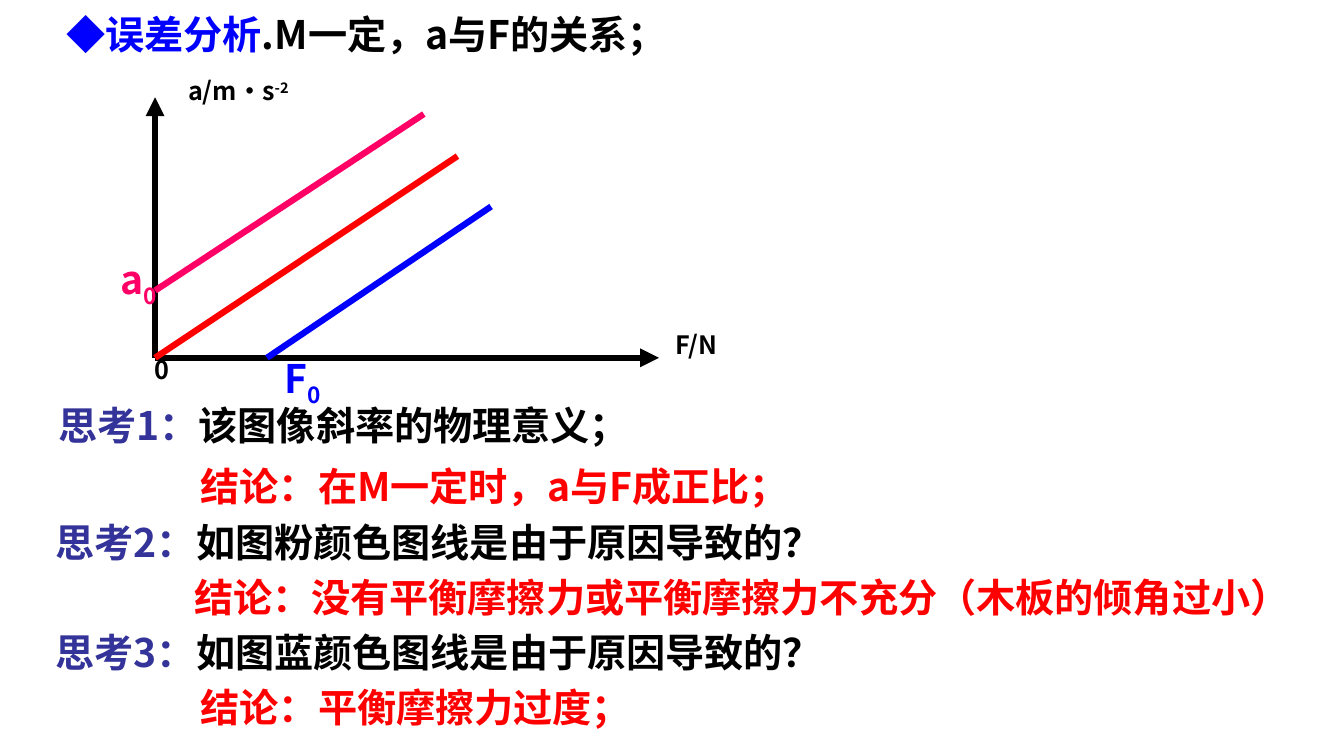
from lxml.etree import SubElement
from pptx import Presentation
from pptx.dml.color import RGBColor
from pptx.enum.shapes import MSO_CONNECTOR as CONNECTOR
from pptx.enum.text import PP_ALIGN as ALIGN
from pptx.oxml.ns import qn
from pptx.util import Inches, Pt

COLORS = {"black": "000000", "blue": "0000FF", "red": "FF0000",
          "pink": "FF0066", "navy": "333399"}
SANS, SERIF = "Noto Sans CJK SC", "Times New Roman"

# Runs are (text, colour, optional format)
title = [("◆误差分析", "blue", {"font": SERIF}),
         (".M一定，a与F的关系；", "black")]

# Left, top, width as shares of the slide; runs
discussion = [
    (0.036, 0.524, 0.733, [("思考1：", "navy"), ("该图像斜率的物理意义；", "black")]),
    (0.142, 0.605, 0.551, [("结论：在M一定时，a与F成正比；", "red")]),
    (0.034, 0.679, 0.883, [("思考2：", "navy"), ("如图粉颜色图线是由于原因导致的？", "black")]),
    (0.137, 0.752, 0.862, [("结论：没有平衡摩擦力或平衡摩擦力不充分（木板的倾角过小）", "red")]),
    (0.034, 0.825, 0.883, [("思考3：", "navy"), ("如图蓝颜色图线是由于原因导致的？", "black")]),
    (0.142, 0.897, 0.74, [("结论：平衡摩擦力过度；", "red")]),
]

# Graph units, measured from the origin: start, end, colour, arrowhead
graph_lines = [
    ((0, 0), (0, 7.75), "black", True),
    ((0, 0), (15, 0), "black", True),
    ((0, 0), (9, 6), "red", False),
    ((0, 2), (8, 7.25), "pink", False),
    ((3.33, 0), (10, 4.5), "blue", False),
]
# Centre and width in graph units, size, runs
graph_labels = [
    (2.48, 7.95, 7.4, 18, [("a/m·s", "black"), ("-2", "black", {"baseline": 30})]),
    (16.1, 0.39, 9, 18, [("F/N", "black")]),
    (0.2, -0.36, 2.4, 18, [("0", "black")]),
    (-0.48, 2.35, 3.7, 28, [("a", "pink"), ("0", "pink", {"baseline": -25})]),
    (4.38, -0.61, 4.1, 28, [("F", "blue"), ("0", "blue", {"baseline": -25})]),
]

prs = Presentation()
prs.slide_width, prs.slide_height = Inches(13.34), Inches(7.5)
W, H = prs.slide_width, prs.slide_height
slide = prs.slides.add_slide(prs.slide_layouts[6])

UNIT = W / 40
ORIGIN_X, ORIGIN_Y = W * 0.1154, H * 0.4733
ROW_HEIGHT = {18: H * 0.053, 28: H * 0.076}


def graph_point(x, y):
    return int(ORIGIN_X + x * UNIT), int(ORIGIN_Y - y * UNIT)


def add_text(runs, left, top, width, size=28, align=ALIGN.LEFT):
    box = slide.shapes.add_textbox(int(left), int(top), int(width), int(ROW_HEIGHT[size]))
    box.text_frame.word_wrap = True
    paragraph = box.text_frame.paragraphs[0]
    paragraph.alignment = align
    for text, color, *formats in runs:
        style = formats[0] if formats else {}
        run = paragraph.add_run()
        run.text = text
        run.font.size, run.font.bold = Pt(size), True
        run.font.name = style.get("font", SANS)
        run.font.color.rgb = RGBColor.from_string(COLORS[color])
        properties = run.font._element
        SubElement(properties, qn("a:ea"), typeface=SANS)
        if "baseline" in style:
            properties.set("baseline", str(style["baseline"] * 1000))


def add_line(start, end, color, arrow):
    line = slide.shapes.add_connector(
        CONNECTOR.STRAIGHT, *graph_point(*start), *graph_point(*end))
    line.line.color.rgb = RGBColor.from_string(COLORS[color])
    line.line.width = Pt(4.5)
    if arrow:
        SubElement(line.line._get_or_add_ln(), qn("a:tailEnd"), type="triangle")
    SubElement(line._element.spPr, qn("a:effectLst"))


# Heading
add_text(title, W * 0.042, H * 0.007, W * 0.55)

# Graph
for graph_line in graph_lines:
    add_line(*graph_line)
for x, y, width, size, runs in graph_labels:
    center_x, center_y = graph_point(x, y)
    add_text(runs, center_x - width * UNIT / 2, center_y - ROW_HEIGHT[size] / 2,
             width * UNIT, size=size, align=ALIGN.CENTER)

# Questions and conclusions
for left, top, width, runs in discussion:
    add_text(runs, W * left, H * top, W * width)

prs.save("out.pptx")
